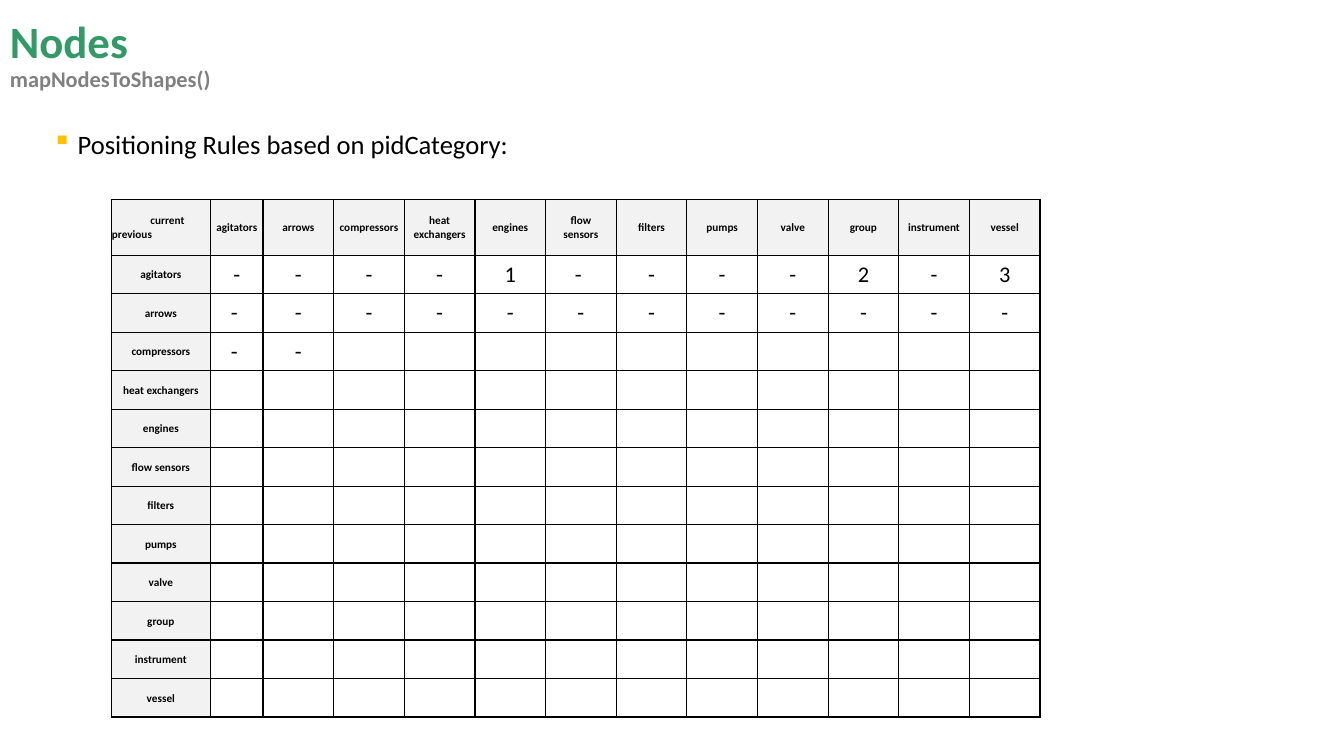
from lxml.etree import SubElement
from pptx import Presentation
from pptx.dml.color import RGBColor
from pptx.enum.text import MSO_ANCHOR, PP_ALIGN
from pptx.oxml import parse_xml
from pptx.oxml.ns import nsdecls, qn
from pptx.util import Cm, Pt

FONT = "Calibri"
HUES = {
    "green": "339966",
    "grey": "808080",
    "gold": "FFC000",
    "black": "000000",
    "pale": "F2F2F2",
}
KINDS = [
    "agitators", "arrows", "compressors", "heat exchangers", "engines",
    "flow sensors", "filters", "pumps", "valve", "group", "instrument",
    "vessel",
]
# One rule per kind, in the order of KINDS; some dashes carry a hard space.
RULES = [
    ["-", "-", "-", "-", "1", "- ", "-", "-", "-", "2", "-", "3"],
    ["- "] + ["-"] * 11,
    ["- ", "-"],
]


def add_run(para, text, size, hue="black", bold=False):
    run = para.add_run()
    run.text = text
    run.font.name = FONT
    run.font.size = Pt(size)
    run.font.bold = bold
    run.font.color.rgb = RGBColor.from_string(HUES[hue])


def add_box(slide, left, top, width, height, anchor):
    """Add a wrapping text box and return its first paragraph."""
    box = slide.shapes.add_textbox(Cm(left), Cm(top), Cm(width), Cm(height))
    frame = box.text_frame
    frame.word_wrap = True
    frame.vertical_anchor = anchor
    return frame.paragraphs[0]


def add_title(slide):
    para = add_box(slide, 0, 0.05, 33.86, 2.74, MSO_ANCHOR.MIDDLE)
    para.line_spacing = 0.9
    add_run(para, "Nodes", 32, "green", True)
    para.add_line_break()
    add_run(para, "mapNodesToShapes()", 16, "grey", True)


def add_bullet(slide, text):
    para = add_box(slide, 1.07, 3.33, 31.6, 1.93, MSO_ANCHOR.TOP)
    para.alignment = PP_ALIGN.JUSTIFY
    para.line_spacing = 0.7
    para.space_before = Pt(10)
    props = para._p.get_or_add_pPr()
    props.set("marL", str(Cm(0.64)))
    props.set("indent", str(-Cm(0.64)))
    tint = SubElement(props, qn("a:buClr"))
    SubElement(tint, qn("a:srgbClr")).set("val", HUES["gold"])
    SubElement(props, qn("a:buChar")).set("char", "▪")
    add_run(para, text, 19)


def set_edges(cell):
    """Draw a thin black border on all four sides."""
    props = cell._tc.get_or_add_tcPr()
    for spot, side in enumerate("LRTB"):
        props.insert(spot, parse_xml(
            f'<a:ln{side} {nsdecls("a")} w="{Pt(1)}"><a:solidFill>'
            f'<a:srgbClr val="{HUES["black"]}"/></a:solidFill></a:ln{side}>'))


def style_cell(cell, head):
    cell.margin_left = cell.margin_right = cell.margin_top = Cm(0.02)
    cell.margin_bottom = Cm(0)
    cell.vertical_anchor = MSO_ANCHOR.MIDDLE
    if head:
        cell.fill.solid()
        cell.fill.fore_color.rgb = RGBColor.from_string(HUES["pale"])
    else:
        cell.fill.background()
    set_edges(cell)


def fill_cell(cell, lines, size, bold):
    """Write each line as a centred paragraph."""
    frame = cell.text_frame
    for spot, line in enumerate(lines):
        para = frame.add_paragraph() if spot else frame.paragraphs[0]
        para.alignment = PP_ALIGN.CENTER
        add_run(para, line, size, bold=bold)


def add_grid(slide):
    count = len(KINDS) + 1
    wide = [2.51, 1.32] + [1.78] * (count - 2)
    high = [1.4] + [0.97] * (count - 1)
    frame = slide.shapes.add_table(
        count, count, Cm(2.8), Cm(5.03), Cm(sum(wide)), Cm(sum(high)))
    table = frame.table
    table.first_row = table.horz_banding = False
    for col, width in zip(table.columns, wide):
        col.width = Cm(width)
    for row, height in zip(table.rows, high):
        row.height = Cm(height)
    for r in range(count):
        for c in range(count):
            style_cell(table.cell(r, c), r == 0 or c == 0)

    para = table.cell(0, 0).text_frame.paragraphs[0]
    para._p.get_or_add_pPr().set("indent", str(Cm(0.97)))
    add_run(para, "current previous", 8, bold=True)
    for spot, kind in enumerate(KINDS, 1):
        fill_cell(table.cell(0, spot), kind.split(), 8, True)
        fill_cell(table.cell(spot, 0), [kind], 8, True)
    for r, marks in enumerate(RULES, 1):
        for c, mark in enumerate(marks, 1):
            fill_cell(table.cell(r, c), [mark], 16, False)


def main():
    deck = Presentation()
    deck.slide_width, deck.slide_height = Cm(33.87), Cm(19.05)
    slide = deck.slides.add_slide(deck.slide_layouts[6])
    add_title(slide)
    add_bullet(slide, "Positioning Rules based on pidCategory:")
    add_grid(slide)
    deck.save("out.pptx")


if __name__ == "__main__":
    main()
